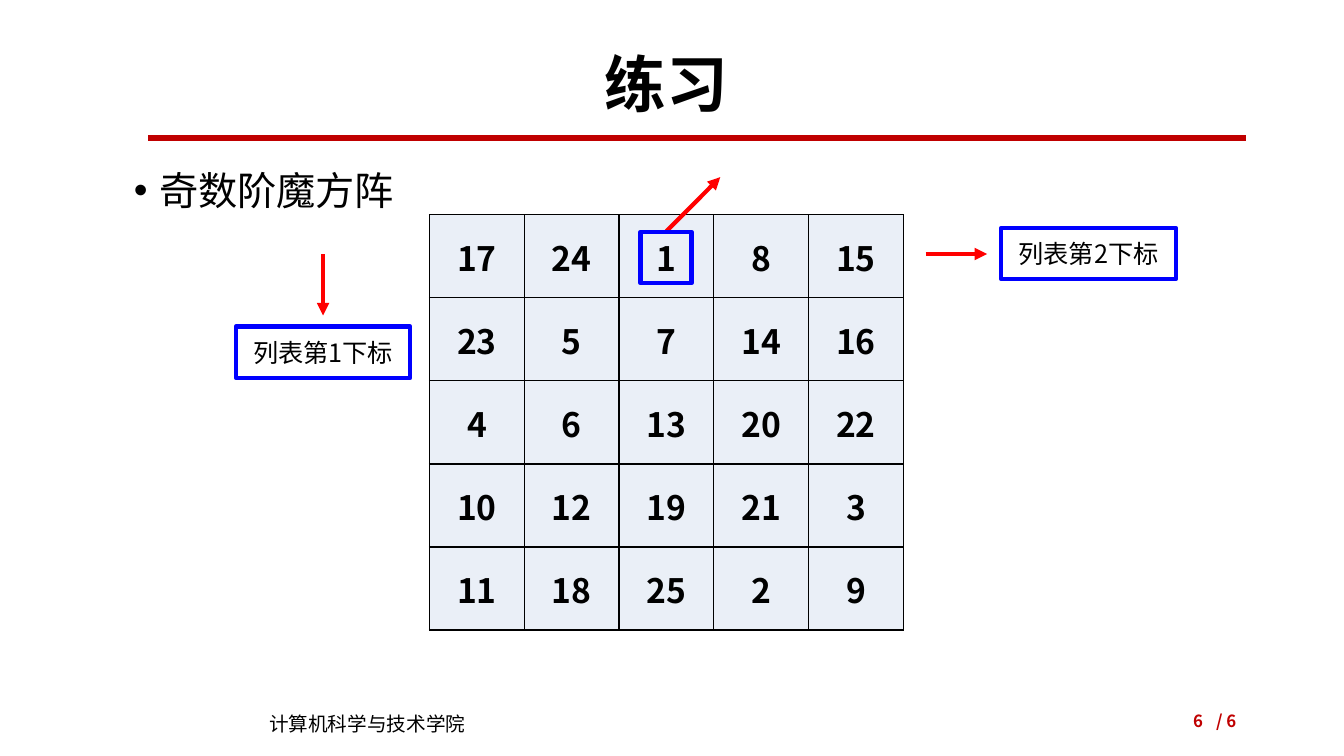
from dataclasses import dataclass

from lxml import etree
from pptx import Presentation
from pptx import util as u
from pptx.dml.color import RGBColor
from pptx.enum import shapes, text
from pptx.oxml import ns

COLORS = {"ink": "000000", "paper": "FFFFFF", "cell": "EAEFF7",
          "brand": "C00000", "arrow": "FF0000", "frame": "0000FF"}
CJK_FONT = "Noto Sans CJK SC"
MAGIC_SQUARE = [
    [17, 24, 1, 8, 15],
    [23, 5, 7, 14, 16],
    [4, 6, 13, 20, 22],
    [10, 12, 19, 21, 3],
    [11, 18, 25, 2, 9],
]
CENTER, RIGHT = text.PP_ALIGN.CENTER, text.PP_ALIGN.RIGHT
TOP, MIDDLE = text.MSO_ANCHOR.TOP, text.MSO_ANCHOR.MIDDLE


@dataclass
class Box:
    left: int
    top: int
    width: int
    height: int

    def point(self, x, y):
        """Turn percentages of this box into slide lengths."""
        return (u.Emu(round(self.left + self.width * x / 100)),
                u.Emu(round(self.top + self.height * y / 100)))

    def inner(self, x, y, width, height):
        """Return the inner box given in percentages of this one."""
        return Box(*self.point(x, y), u.Emu(round(self.width * width / 100)),
                   u.Emu(round(self.height * height / 100)))

    def bounds(self):
        return self.left, self.top, self.width, self.height


def rgb(name):
    return RGBColor.from_string(COLORS[name])


def apply(target, values):
    for name, value in values.items():
        setattr(target, name, value)


def add_xml(parent, tag, **attributes):
    return etree.SubElement(parent, ns.qn(tag), attributes)


def write(frame, words, size, color="ink", font=CJK_FONT, bold=False, **layout):
    """Put one formatted run into a text frame; layout goes to its paragraph."""
    paragraph = frame.paragraphs[0]
    apply(paragraph, layout)
    run = paragraph.add_run()
    run.text = words
    apply(run.font, {"size": u.Pt(size), "name": font, "bold": bold})
    run.font.color.rgb = rgb(color)
    add_xml(run._r.get_or_add_rPr(), "a:ea", typeface=CJK_FONT)
    return paragraph


def add_text(slide, box, words, size, anchor=MIDDLE, **style):
    frame = slide.shapes.add_textbox(*box.bounds()).text_frame
    apply(frame, {"word_wrap": True, "vertical_anchor": anchor})
    return write(frame, words, size, **style)


def add_frame(slide, box):
    """Add an unfilled rectangle with a blue outline."""
    shape = slide.shapes.add_shape(shapes.MSO_SHAPE.RECTANGLE, *box.bounds())
    shape.shadow.inherit = False
    shape.fill.background()
    shape.line.color.rgb = rgb("frame")
    shape.line.width = u.Pt(3)
    return shape


def add_line(slide, start, end, color, width, arrow=False):
    connector = slide.shapes.add_connector(shapes.MSO_CONNECTOR.STRAIGHT,
                                           *start, *end)
    connector.line.color.rgb = rgb(color)
    connector.line.width = u.Pt(width)
    properties = connector._element.spPr
    if arrow:
        add_xml(properties.find(ns.qn("a:ln")), "a:tailEnd", type="triangle")
    add_xml(properties, "a:effectLst")


def add_header(slide, box):
    add_text(slide, box.inner(0, 0, 100, 96.9), "练习", 44, font="Calibri",
             bold=True, alignment=CENTER, line_spacing=0.9)
    add_line(slide, box.point(5.3, 100), box.point(100, 100), "brand", 4.5)


def add_topic(slide, box):
    paragraph = add_text(slide, box, "奇数阶魔方阵", 28, font="Arial", anchor=TOP,
                         alignment=text.PP_ALIGN.JUSTIFY)
    properties = paragraph._p.get_or_add_pPr()
    indent = u.Inches(0.25)
    properties.set("marL", str(indent))
    properties.set("indent", str(-indent))
    add_xml(properties, "a:buFont", typeface="Arial")
    add_xml(properties, "a:buChar", char="•")


def format_cell(cell, number):
    apply(cell, {"margin_left": u.Inches(0.01), "margin_right": u.Inches(0.01),
                 "margin_top": u.Inches(0.01), "margin_bottom": 0,
                 "vertical_anchor": MIDDLE})
    for side in "LRTB":
        border = add_xml(cell._tc.get_or_add_tcPr(), f"a:ln{side}",
                         w=str(u.Pt(1)))
        add_xml(add_xml(border, "a:solidFill"), "a:srgbClr", val=COLORS["ink"])
    cell.fill.solid()
    cell.fill.fore_color.rgb = rgb("cell")
    write(cell.text_frame, str(number), 24, bold=True, alignment=CENTER)


def add_magic_square(slide, box):
    """Add the number table, with the starting cell framed and its next move."""
    order = len(MAGIC_SQUARE)
    table = slide.shapes.add_table(order, order, *box.bounds()).table
    apply(table, {"first_row": False, "horz_banding": False})
    for column in table.columns:
        column.width = u.Emu(box.width // order)
    for row, numbers in zip(table.rows, MAGIC_SQUARE):
        row.height = u.Emu(box.height // order)
        for cell, number in zip(row.cells, numbers):
            format_cell(cell, number)

    share = 100 / order
    start_cell = box.inner(share * MAGIC_SQUARE[0].index(1), 0, share, share)
    marker = start_cell.inner(22.5, 20.5, 54, 62)
    add_line(slide, marker.point(50, 0), marker.point(156, -106),
             "arrow", 3, arrow=True)
    add_frame(slide, marker)


def add_index_note(slide, box, words, start, end):
    """Add a framed note and its arrow; points are percentages of the note."""
    add_line(slide, box.point(*start), box.point(*end), "arrow", 3, arrow=True)
    frame = add_frame(slide, box).text_frame
    apply(frame, {"word_wrap": True, "vertical_anchor": MIDDLE})
    write(frame, words, 18, alignment=CENTER)


def add_body(slide, box):
    add_topic(slide, box)
    add_magic_square(slide, box.inner(27.22, 10.3, 42.23, 80))
    add_index_note(slide, box.inner(78.17, 12.82, 15.54, 9.9), "列表第2下标",
                   (-43.35, 51), (-8.1, 51))
    add_index_note(slide, box.inner(9.97, 31.84, 15.54, 9.9), "列表第1下标",
                   (50, -141), (50, -21.5))


def add_footer(slide, box):
    add_text(slide, box.inner(0, 15, 29.83, 85), "计算机科学与技术学院", 14,
             anchor=TOP)
    for words, left, width in (("/ 6", 92.34, 7.66), ("6", 69.97, 26.66)):
        add_text(slide, box.inner(left, 0, width, 100), words, 12,
                 color="brand", bold=True, alignment=RIGHT)


def main():
    presentation = Presentation()
    page = Box(0, 0, u.Inches(13.33), u.Inches(7.5))
    apply(presentation, {"slide_width": page.width, "slide_height": page.height})
    slide = presentation.slides.add_slide(presentation.slide_layouts[6])
    slide.background.fill.solid()
    slide.background.fill.fore_color.rgb = rgb("paper")
    add_header(slide, page.inner(6.45, 5.33, 86.27, 12.93))
    add_body(slide, page.inner(9.23, 21.33, 83.5, 68.67))
    add_footer(slide, page.inner(19.28, 92.67, 73.44, 5.33))
    presentation.save("out.pptx")


if __name__ == "__main__":
    main()
